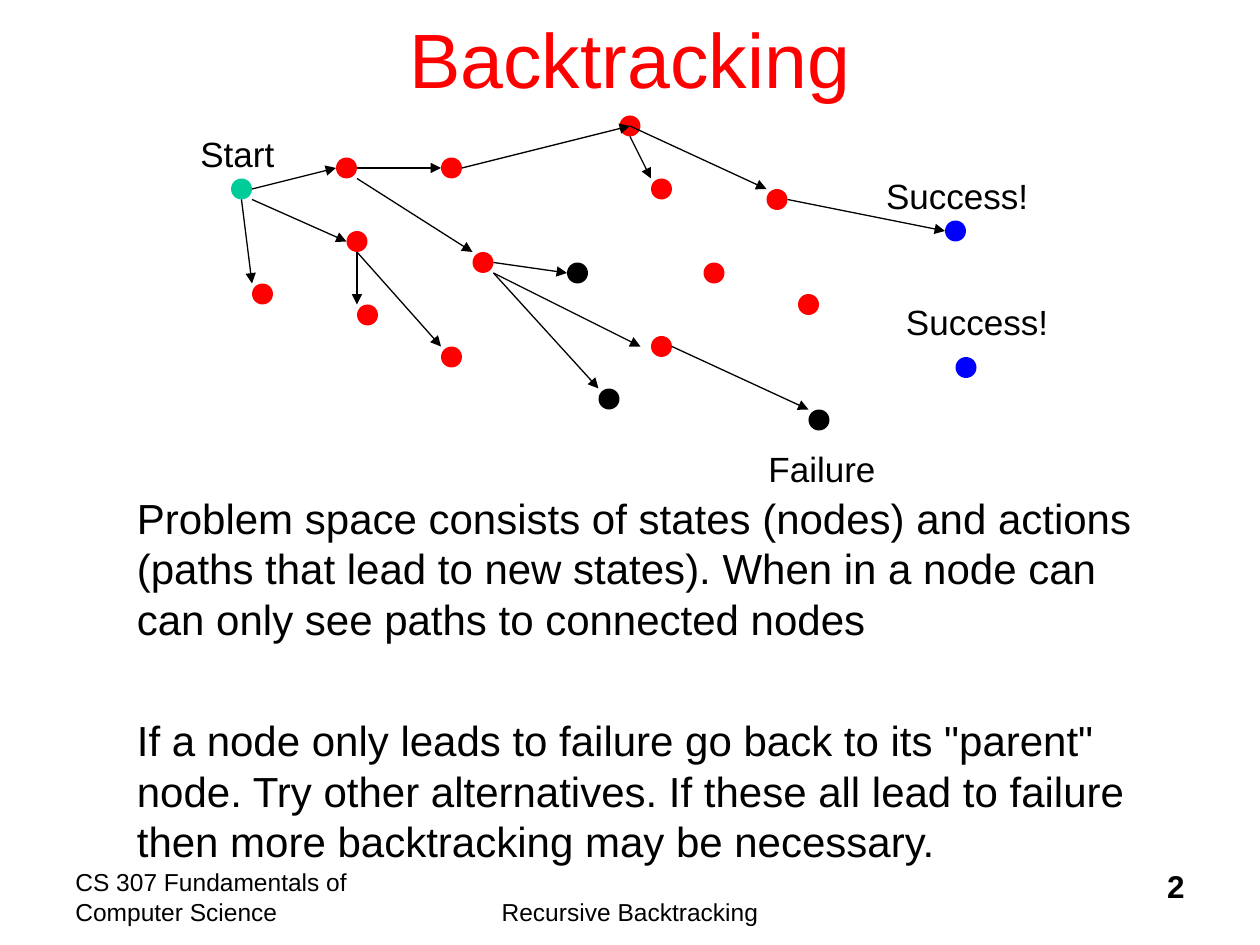
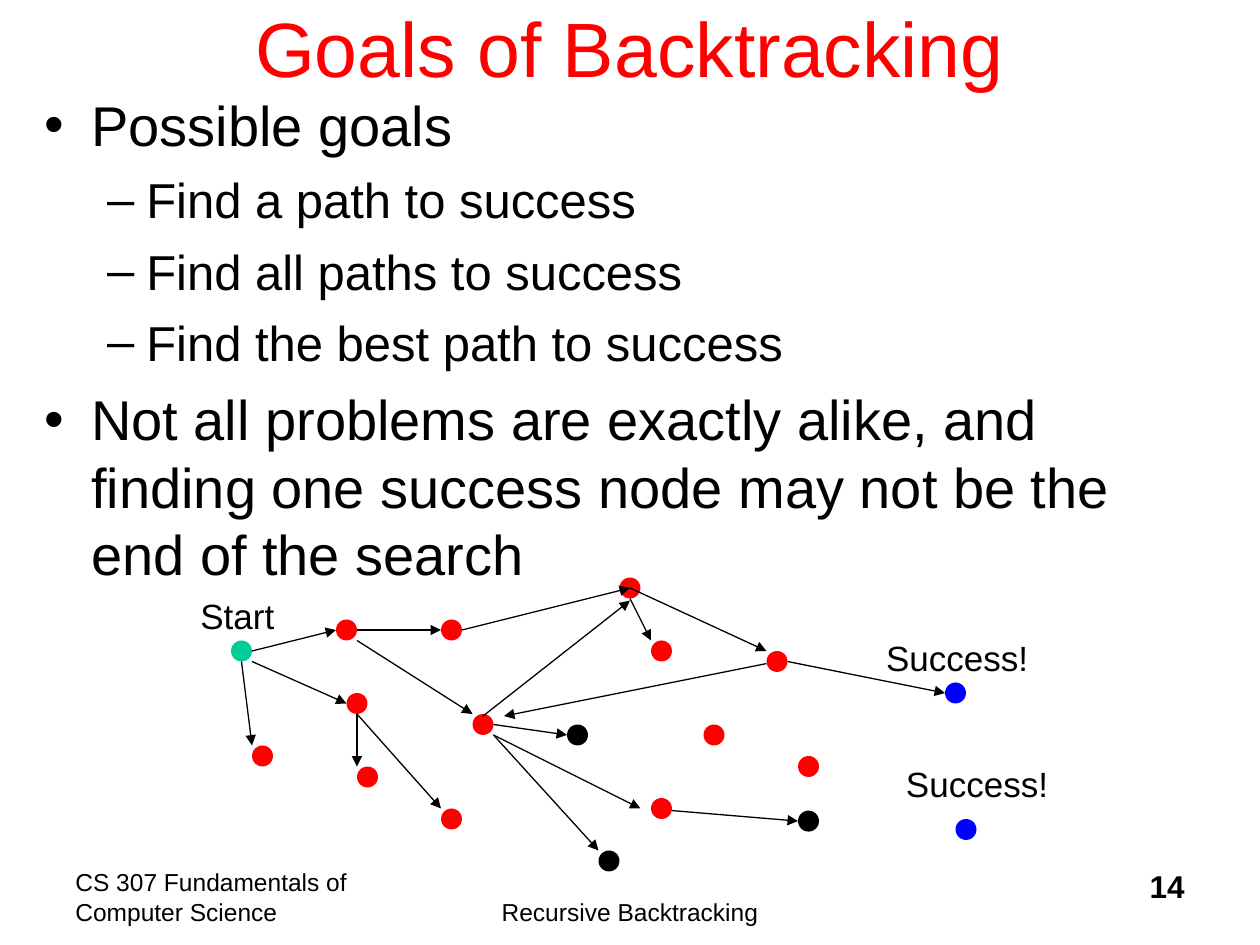
from lxml.etree import SubElement
from pptx import Presentation
from pptx.dml.color import RGBColor
from pptx.enum.shapes import MSO_CONNECTOR as Connector, MSO_SHAPE as Shape
from pptx.enum.text import MSO_ANCHOR as Anchor, MSO_AUTO_SIZE as AutoSize, PP_ALIGN as Align
from pptx.oxml.ns import qn
from pptx.util import Cm, Pt

BLACK = RGBColor(0x00, 0x00, 0x00)
RED = RGBColor(0xFF, 0x00, 0x00)
GREEN = RGBColor(0x00, 0xCC, 0x99)
BLUE = RGBColor(0x00, 0x00, 0xFF)
FONT = "Arial"
TITLE_ONLY = 5
STEP = 2.54 / 12
NODE_STEPS = 2

NODES = {
    GREEN: [(22, 17)],
    RED: [(24, 27), (33, 22), (45, 24), (42, 15), (32, 15), (34, 29), (59, 11), (62, 32),
          (62, 17), (67, 25), (42, 33), (76, 28), (73, 18)],
    BLACK: [(57, 37), (54, 25)],
    BLUE: [(90, 21), (91, 34)],
}
ACTIONS = [
    (24, 18, 32, 16), (24, 19, 33, 23), (23, 19, 24, 27), (34, 16, 42, 16),
    (34, 17, 45, 24), (34, 24, 34, 29), (34, 24, 42, 33), (47, 26, 61, 33),
    (47, 26, 57, 37), (47, 25, 54, 26), (44, 16, 60, 12), (60, 13, 62, 17),
    (60, 12, 73, 18), (75, 19, 90, 22),
]
LABELS = [("Start", 17.9, 12, 9.5), ("Success!", 83.2, 16, 16), ("Success!", 85.1, 28, 16)]
BULLETS = {"•": (0.95, 0.95), "–": (2.06, 0.79)}


def write(para, text, size=24, color=BLACK, bold=False, align=Align.LEFT, before=0, bullet=None):
    if bullet:
        margin, hanging = BULLETS[bullet]
        properties = para._p.get_or_add_pPr()
        properties.set("marL", str(Cm(margin)))
        properties.set("indent", str(-Cm(hanging)))
        SubElement(properties, qn("a:buFont"), typeface=FONT)
        SubElement(properties, qn("a:buChar"), char=bullet)
    para.text = text
    para.alignment = align
    para.space_before = Pt(before)
    for span in para.runs:
        span.font.name = FONT
        span.font.size = Pt(size)
        span.font.bold = bold
        span.font.color.rgb = color


class SlideBuilder:
    def __init__(self, deck):
        self.deck = deck
        self.page = None

    def start(self, title, title_top, number):
        self.page = self.deck.slides.add_slide(self.deck.slide_layouts[TITLE_ONLY])
        self.text([("CS 307 Fundamentals of Computer Science", dict(size=14))],
                  1.27, 17.36, 6.35, 1.27)
        self.text([("Recursive Backtracking", dict(size=14, align=Align.CENTER))],
                  7.83, 17.96, 9.74, 0.95)
        self.text([(number, dict(size=18, bold=True, align=Align.RIGHT))],
                  18.84, 17.36, 5.29, 1.27)
        box = self.page.shapes.title
        box.left, box.top, box.width, box.height = Cm(1.9), Cm(title_top), Cm(21.6), Cm(3.18)
        frame = box.text_frame
        frame.auto_size = AutoSize.NONE
        frame.vertical_anchor = Anchor.MIDDLE
        write(frame.paragraphs[0], title, size=44, color=RED, align=Align.CENTER)

    def text(self, paragraphs, left, top, width, height, wrap=True):
        box = self.page.shapes.add_textbox(Cm(left), Cm(top), Cm(width), Cm(height))
        frame = box.text_frame
        frame.word_wrap = wrap
        frame.auto_size = AutoSize.NONE if wrap else AutoSize.SHAPE_TO_FIT_TEXT
        for index, (text, style) in enumerate(paragraphs):
            para = frame.add_paragraph() if index else frame.paragraphs[0]
            write(para, text, **style)

    def label(self, text, column, row, columns, top=0):
        self.text([(text, dict(size=20))], column * STEP, top + row * STEP,
                  columns * STEP, 1.12, wrap=False)

    def node(self, color, column, row, top):
        size = Cm(NODE_STEPS * STEP)
        dot = self.page.shapes.add_shape(
            Shape.OVAL, Cm(column * STEP), Cm(top + row * STEP), size, size)
        dot.shadow.inherit = False
        dot.fill.solid()
        dot.fill.fore_color.rgb = color
        dot.line.fill.background()

    def arrow(self, from_column, from_row, to_column, to_row, top):
        link = self.page.shapes.add_connector(
            Connector.STRAIGHT,
            Cm(from_column * STEP), Cm(top + from_row * STEP),
            Cm(to_column * STEP), Cm(top + to_row * STEP))
        link.line.color.rgb = BLACK
        link.line.width = Pt(0.75)
        SubElement(link.line._get_or_add_ln(), qn("a:tailEnd"), type="triangle")
        SubElement(link._element.spPr, qn("a:effectLst"))

    def search_graph(self, dead_end, extra_actions, top=0):
        for color, places in NODES.items():
            for column, row in places:
                self.node(color, column, row, top)
        self.node(BLACK, *dead_end, top)
        for label in LABELS:
            self.label(*label, top)
        for action in ACTIONS + extra_actions:
            self.arrow(*action, top)


def main():
    deck = Presentation()
    deck.slide_width, deck.slide_height = Cm(25.4), Cm(19.05)
    builder = SlideBuilder(deck)

    builder.start("Backtracking", -0.42, "2")
    builder.search_graph((77, 39), [(64, 33, 77, 39)])
    builder.label("Failure", 72, 42, 12.6)
    builder.text([
        ("Problem space consists of states (nodes) and actions\n"
         "(paths that lead to new states). When in a node can\n"
         "can only see paths to connected nodes", dict()),
        ("If a node only leads to failure go back to its \"parent\"\n"
         "node. Try other alternatives. If these all lead to failure\n"
         "then more backtracking may be necessary.", dict(before=40.8)),
    ], 2.51, 9.8, 20.55, 7.8)

    builder.start("Goals of Backtracking", -0.64, "14")
    goal = dict(size=28, before=7, bullet="–")
    builder.text([
        ("Possible goals", dict(size=32, bullet="•")),
        ("Find a path to success", goal),
        ("Find all paths to success", goal),
        ("Find the best path to success", goal),
        ("Not all problems are exactly alike, and finding one success node may not be "
         "the end of the search", dict(size=32, before=8, bullet="•")),
    ], 0.64, 1.7, 24.13, 15.24)
    builder.search_graph((76, 33.2), [
        (64, 33.2, 76, 34.2), (46, 24.2, 60, 13.2), (73, 19.2, 48, 24.2)], top=44 * STEP)

    deck.save("out.pptx")


if __name__ == "__main__":
    main()
